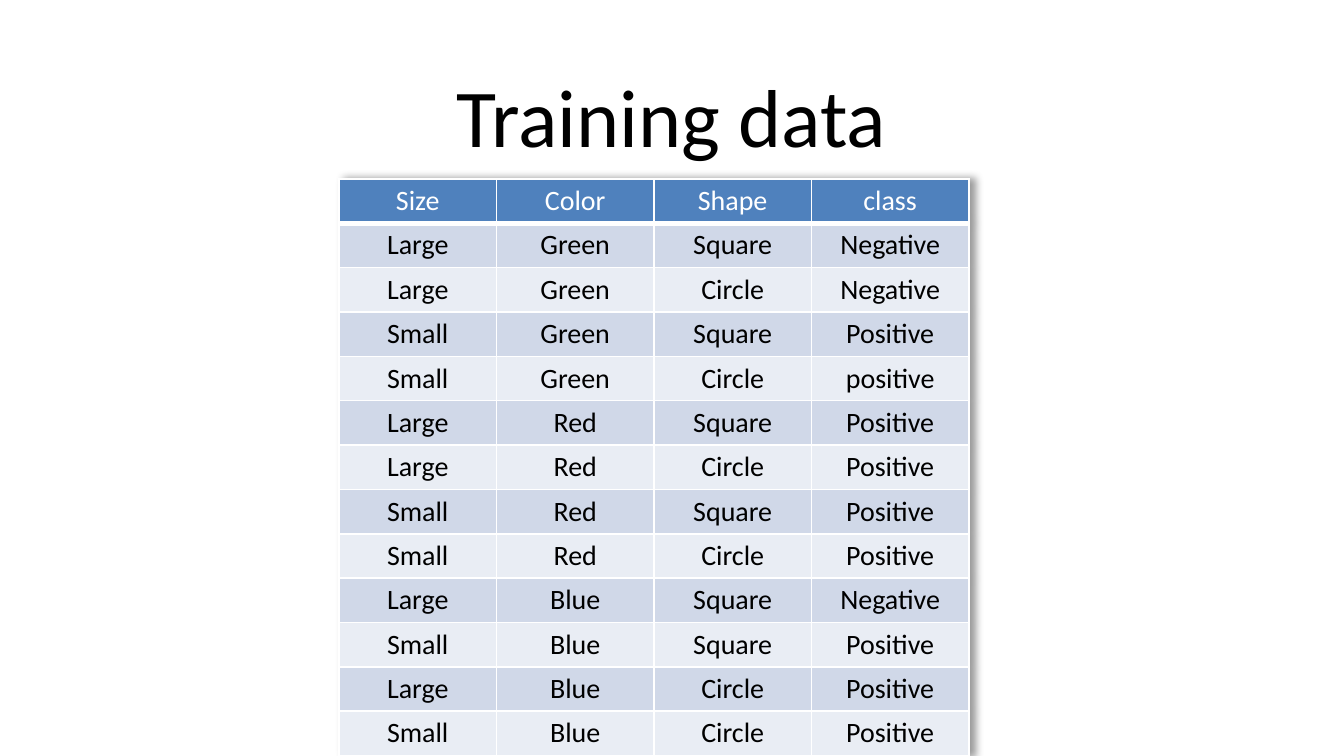
from typing import NamedTuple

from lxml.etree import SubElement
from pptx import Presentation
from pptx.dml.color import RGBColor
from pptx.enum.text import MSO_ANCHOR, PP_ALIGN
from pptx.oxml.ns import qn
from pptx.util import Emu, Pt

EMU_PER_PX = 914400 / 134.4
FONT = "Calibri"
WHITE, BLACK = "FFFFFF", "000000"


class Example(NamedTuple):
    size: str
    color: str
    shape: str
    label: str


class RowStyle(NamedTuple):
    fill: str
    text: str
    bottom_pt: int = 1


HEADER = RowStyle("4F81BD", WHITE, bottom_pt=3)
BANDS = (RowStyle("D0D8E8", BLACK), RowStyle("E9EDF4", BLACK))

ROWS = [
    Example("Size", "Color", "Shape", "class"),
    Example("Large", "Green", "Square", "Negative"),
    Example("Large", "Green", "Circle", "Negative"),
    Example("Small", "Green", "Square", "Positive"),
    Example("Small", "Green", "Circle", "positive"),
    Example("Large", "Red", "Square", "Positive"),
    Example("Large", "Red", "Circle", "Positive"),
    Example("Small", "Red", "Square", "Positive"),
    Example("Small", "Red", "Circle", "Positive"),
    Example("Large", "Blue", "Square", "Negative"),
    Example("Small", "Blue", "Square", "Positive"),
    Example("Large", "Blue", "Circle", "Positive"),
    Example("Small", "Blue", "Circle", "Positive"),
]


def px(n: int) -> Emu:
    return Emu(round(n * EMU_PER_PX))


def rgb(color: str) -> RGBColor:
    return RGBColor.from_string(color)


def set_text(tf, text: str, size: int, color: str) -> None:
    p = tf.paragraphs[0]
    p.text = text
    p.alignment = PP_ALIGN.CENTER
    p.font.name, p.font.size = FONT, Pt(size)
    p.font.color.rgb = rgb(color)


def add_title(s, text: str) -> None:
    tf = s.shapes.add_textbox(px(243), px(52), px(857), px(126)).text_frame
    tf.word_wrap = True
    tf.vertical_anchor = MSO_ANCHOR.MIDDLE
    set_text(tf, text, 44, BLACK)


def set_borders(cell, bottom_pt: int) -> None:
    tc_pr = cell._tc.get_or_add_tcPr()
    widths = {"a:lnL": 1, "a:lnR": 1, "a:lnT": 1, "a:lnB": bottom_pt}
    for i, (tag, width) in enumerate(widths.items()):
        ln = SubElement(tc_pr, qn(tag), w=str(Pt(width)))
        fill = SubElement(ln, qn("a:solidFill"))
        SubElement(fill, qn("a:srgbClr"), val=WHITE)
        tc_pr.insert(i, ln)  # borders come before the cell fill


def style_cell(cell, text: str, style: RowStyle) -> None:
    cell.margin_left = cell.margin_right = px(9)
    cell.margin_top = cell.margin_bottom = px(5)
    cell.fill.solid()
    cell.fill.fore_color.rgb = rgb(style.fill)
    set_borders(cell, style.bottom_pt)
    set_text(cell.text_frame, text, 15, style.text)


def add_shadow(table) -> None:
    tbl_pr = table._tbl.tblPr
    effects = SubElement(tbl_pr, qn("a:effectLst"))
    tbl_pr.insert(0, effects)
    shadow = SubElement(effects, qn("a:outerShdw"), blurRad="50800",
                        dist="38100", dir="0", algn="l", rotWithShape="0")
    clr = SubElement(shadow, qn("a:srgbClr"), val=BLACK)
    SubElement(clr, qn("a:alpha"), val="40000")


def add_examples(s, rows: list[Example]) -> None:
    table = s.shapes.add_table(len(rows), len(rows[0]), px(339), px(179),
                               px(630), px(577)).table
    add_shadow(table)
    for i, example in enumerate(rows):
        style = BANDS[(i - 1) % 2] if i else HEADER
        for j, text in enumerate(example):
            style_cell(table.cell(i, j), text, style)


def main() -> None:
    prs = Presentation()
    prs.slide_width, prs.slide_height = px(1344), px(756)
    s = prs.slides.add_slide(prs.slide_layouts[6])
    add_title(s, "Training data")
    add_examples(s, ROWS)
    prs.save("out.pptx")


if __name__ == "__main__":
    main()
